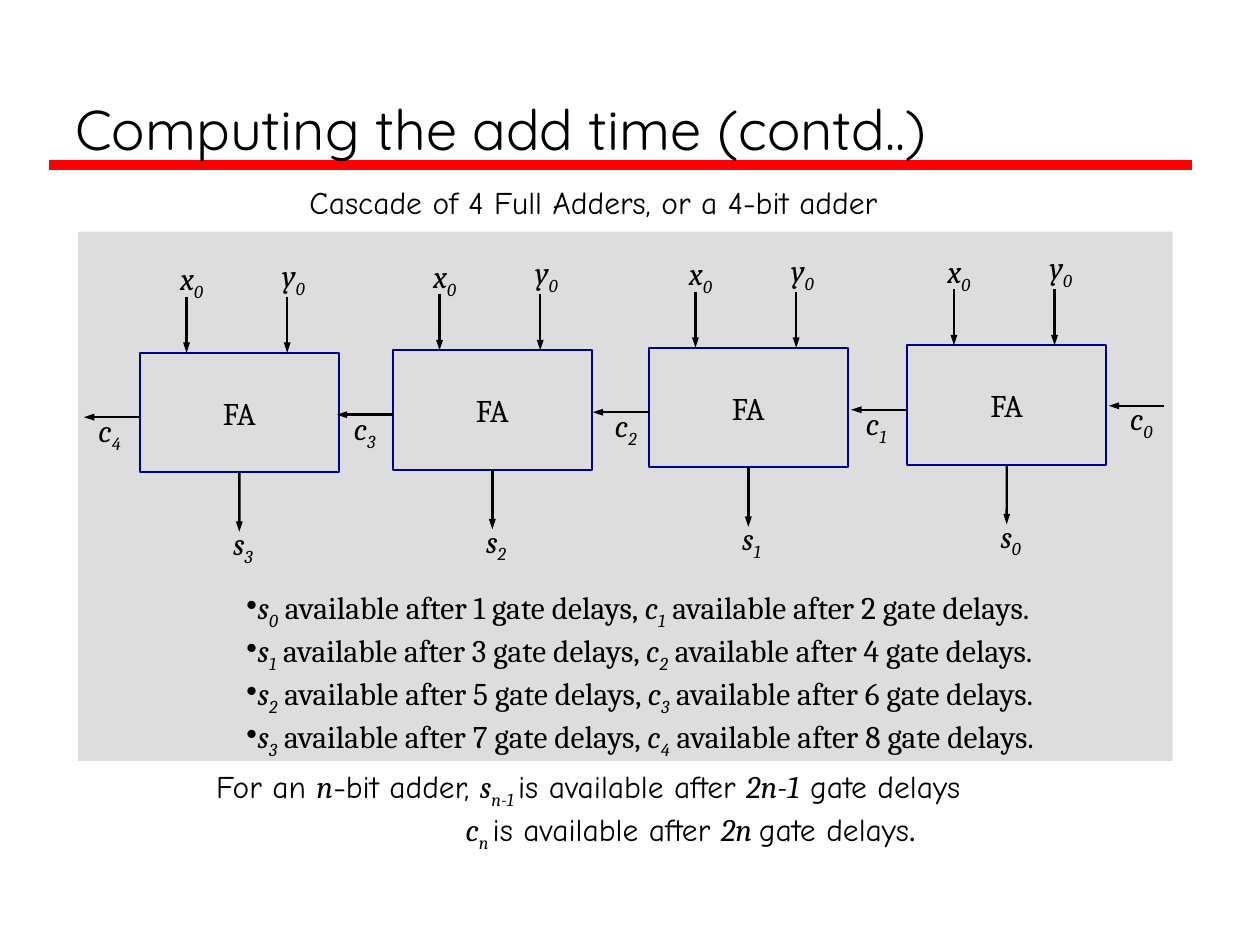
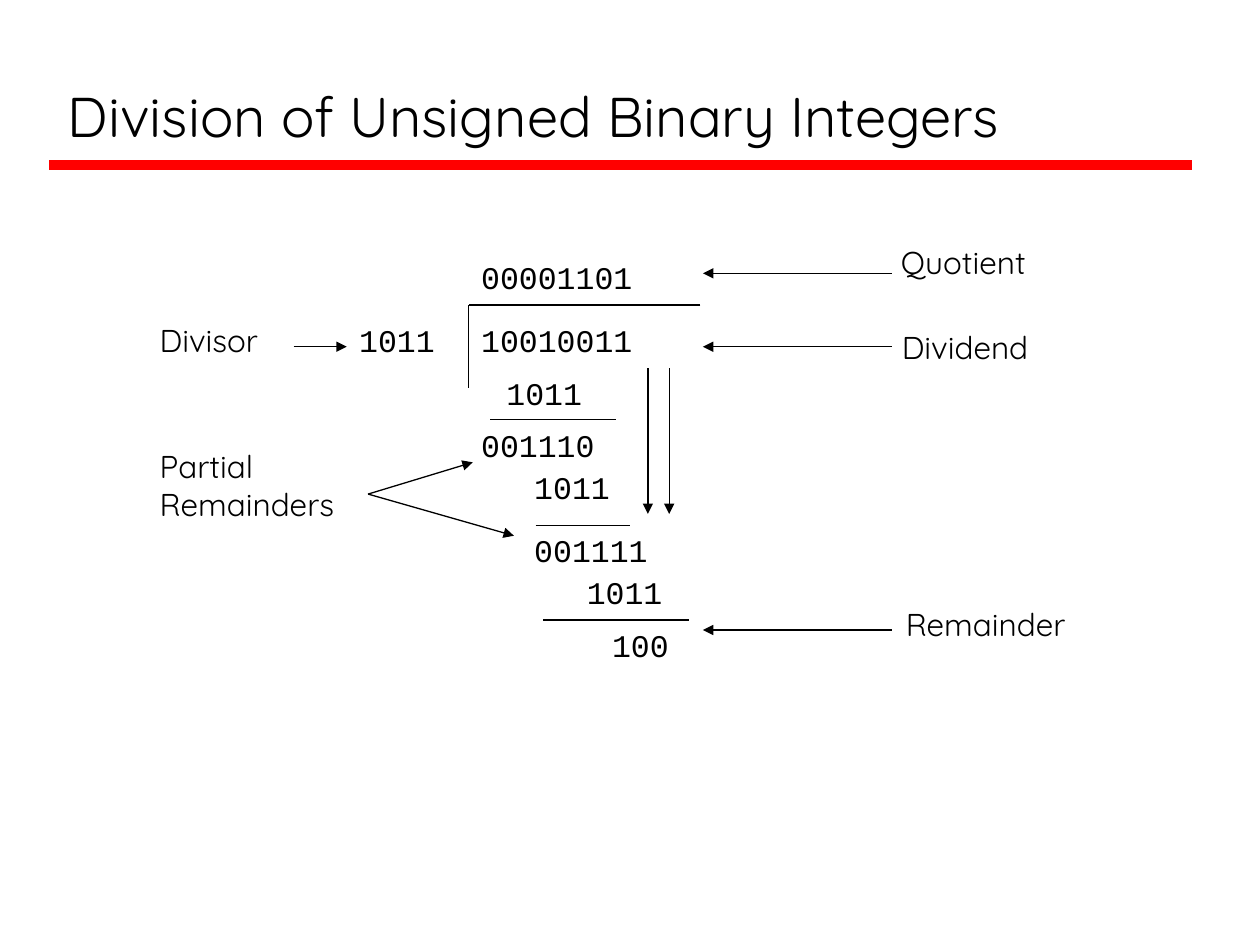
from lxml import etree
from pptx import Presentation
from pptx.dml.color import RGBColor
from pptx.enum import shapes, text
from pptx.oxml import ns
from pptx.util import Cm, Pt

HUES = {"ink": "000000", "rule": "FF0000", "panel": "DDDDDD", "box": "000099"}
SANS, HAND, SERIF, MONO = "Quicksand", "Comic Neue", "Cambria", "Courier New"

# Run styles: font, italic, baseline in thousandths of a percent
PLAIN = (SERIF, False, 0)
VAR = (SERIF, True, 0)
SUB = (SERIF, True, -25000)
NOTE = (HAND, False, 0)

# Slide 1: sum bit, carry out, box left, left of the carry label
ADDERS = [
    (3, 4, 2.82, 1.73),
    (2, 3, 7.92, 6.88),
    (1, 2, 13.08, 12.14),
    (0, 1, 18.29, 17.2),
]
BOX_W, BOX_H, BOX_TOP, RISE = 4.01, 2.41, 7.11, 0.05
INPUTS = [("x", 0.94, 0.56, -2.01), ("y", 2.97, 2.62, -2.08)]
STUB = 1.13
CASCADE = "Cascade of 4 Full Adders, or a 4-bit adder"
GENERAL = [
    [("For an ", NOTE), ("n", VAR), ("-bit adder, ", NOTE), ("s", VAR),
     ("n-1 ", SUB), ("is available after ", NOTE), ("2n-1", VAR),
     (" gate delays", NOTE)],
    [("c", VAR), ("n ", SUB), ("is available after ", NOTE), ("2n ", VAR),
     ("gate delays", NOTE), (".", PLAIN)],
]

# Slide 2: text, left, top
DIGITS = [
    ("00001101", 9.45, 5.08),
    ("1011", 6.99, 6.35),
    ("10010011", 9.45, 6.35),
    ("1011", 9.96, 7.42),
    ("001110", 9.45, 8.46),
    ("1011", 10.52, 9.32),
    ("001111", 10.52, 10.59),
    ("1011", 11.58, 11.43),
    ("100", 12.09, 12.5),
]
LABELS = [
    ("Quotient", 17.91, 4.78),
    ("Dividend", 17.93, 6.48),
    ("Remainder", 18.01, 12.07),
    ("Partial\nRemainders", 2.97, 8.89),
    ("Divisor", 2.97, 6.35),
]
# x1, y1, x2, y2
BARS = [
    (14.12, 6.15, 9.45, 6.15),
    (9.45, 6.15, 9.45, 7.82),
    (9.88, 8.46, 12.42, 8.46),
    (10.8, 10.59, 12.7, 10.59),
    (10.95, 12.5, 13.89, 12.5),
]
ARROWS = [(17.98, y, 14.17, y) for y in (5.51, 6.99, 12.7)]
ARROWS += [(x, 7.42, x, 10.36) for x in (13.06, 13.49)]
ARROWS += [(7.42, 9.96, 9.53, 9.32), (7.42, 9.96, 10.36, 10.8)]
ARROWS += [(5.92, 6.99, 6.99, 6.99)]


def hue(name):
    return RGBColor.from_string(HUES[name])


def style(para, size=18, font=None):
    para.font.size = Pt(size)
    para.font.color.rgb = hue("ink")
    if font:
        para.font.name = font


def write(slide, left, top, width, height, paras, font=None, size=18):
    """Add a text box; each paragraph is a string or a list of styled runs."""
    box = slide.shapes.add_textbox(Cm(left), Cm(top), Cm(width), Cm(height))
    frame = box.text_frame
    frame.word_wrap = False
    frame.auto_size = text.MSO_AUTO_SIZE.SHAPE_TO_FIT_TEXT
    for i, runs in enumerate(paras):
        para = frame.add_paragraph() if i else frame.paragraphs[0]
        style(para, size, font)
        if isinstance(runs, str):
            para.add_run().text = runs
            continue
        for words, (face, slant, base) in runs:
            run = para.add_run()
            run.text = words
            run.font.name = face
            run.font.italic = slant
            if base:
                run._r.get_or_add_rPr().set("baseline", str(base))
    return frame


def sign(slide, letter, index, left, top):
    """Write a variable with its subscript."""
    write(slide, left, top, 1.02, 1.02, [[(letter, VAR), (str(index), SUB)]])


def draw(slide, ends, width=0.75, tint="ink", head=None):
    """Draw a straight line; head is the width of an arrowhead at its end."""
    line = slide.shapes.add_connector(
        shapes.MSO_CONNECTOR.STRAIGHT, *[Cm(v) for v in ends])
    line.line.width = Pt(width)
    line.line.color.rgb = hue(tint)
    if head:
        etree.SubElement(line.line._get_or_add_ln(), ns.qn("a:tailEnd"),
                         type="triangle", w=head, len="med")
    etree.SubElement(line._element.spPr, ns.qn("a:effectLst"))
    return line


def wire(slide, *ends):
    return draw(slide, ends, 1.38, head="sm")


def block(slide, left, top, width, height):
    rect = slide.shapes.add_shape(
        shapes.MSO_SHAPE.RECTANGLE, Cm(left), Cm(top), Cm(width), Cm(height))
    rect.shadow.inherit = False
    return rect


def start(deck, title, left, top, width, height):
    """Add a slide with the red rule and its title."""
    slide = deck.slides.add_slide(deck.slide_layouts[6])
    draw(slide, (0.99, 3.33, 24.03, 3.33), 6, "rule")
    frame = write(slide, left, top, width, height, [title], SANS, 32)
    frame.auto_size = text.MSO_AUTO_SIZE.NONE
    frame.word_wrap = True
    frame.vertical_anchor = text.MSO_ANCHOR.BOTTOM
    return slide


def adder(slide, top, bit, carry, left, tag):
    rect = block(slide, left, top, BOX_W, BOX_H)
    rect.fill.background()
    rect.line.color.rgb = hue("box")
    rect.line.width = Pt(1.13)
    para = rect.text_frame.paragraphs[0]
    para.text = "FA"
    para.alignment = text.PP_ALIGN.CENTER
    style(para, font=SERIF)

    for letter, x, dx, dy in INPUTS:
        wire(slide, left + x, top - STUB, left + x, top)
        sign(slide, letter, 0, left + dx, top + dy)
    mid, base = left + BOX_W / 2, top + BOX_H
    wire(slide, mid, base, mid, base + 1.2).begin_connect(rect, 2)
    sign(slide, "s", bit, left + 1.63, top + 3.33)
    wire(slide, left, top + 1.3, left - STUB, top + 1.3)
    sign(slide, "c", carry, tag, top + 1.06)


def delays(bit):
    return [("s", VAR), (str(bit), SUB),
            (f" available after {2 * bit + 1} gate delays, ", PLAIN),
            ("c", VAR), (str(bit + 1), SUB),
            (f" available after {2 * bit + 2} gate delays.", PLAIN)]


def cascade(deck):
    slide = start(deck, "Computing the add time (contd..)",
                  1.27, 0.2, 23.06, 3.18)
    panel = block(slide, 1.57, 4.67, 22.07, 10.67)
    panel.fill.solid()
    panel.fill.fore_color.rgb = hue("panel")
    panel.line.fill.background()
    write(slide, 5.99, 3.56, 13.08, 1.02, [CASCADE], HAND)

    for i, unit in enumerate(ADDERS):
        adder(slide, BOX_TOP - i * RISE, *unit)
    wire(slide, 23.47, 8.18, 22.35, 8.18)
    sign(slide, "c", 0, 22.53, 7.92)

    frame = write(slide, 4.72, 11.73, 16.66, 3.3,
                  [delays(bit) for bit in range(len(ADDERS))])
    for para in frame.paragraphs:
        props = para._p.get_or_add_pPr()
        bullet = etree.Element(ns.qn("a:buChar"), char="•")
        props.insert(0, bullet)
    frame = write(slide, 4.11, 15.34, 17.12, 1.78, GENERAL)
    frame.paragraphs[1]._p.get_or_add_pPr().set("marL", str(Cm(5.02)))


def division(deck):
    slide = start(deck, "Division of Unsigned Binary Integers",
                  1.12, 0.43, 22.78, 2.69)
    for items, font, pitch in ((DIGITS, MONO, 0.38), (LABELS, SANS, 0.4)):
        for words, left, top in items:
            rows = words.split("\n")
            width = 0.51 + pitch * max(map(len, rows))
            write(slide, left, top, width, 0.25 + 1.02 * len(rows), rows, font)
    for ends in BARS:
        draw(slide, ends)
    for ends in ARROWS:
        draw(slide, ends, head="med")


def main():
    deck = Presentation()
    deck.slide_width, deck.slide_height = Cm(25.4), Cm(19.05)
    cascade(deck)
    division(deck)
    deck.save("out.pptx")


if __name__ == "__main__":
    main()
